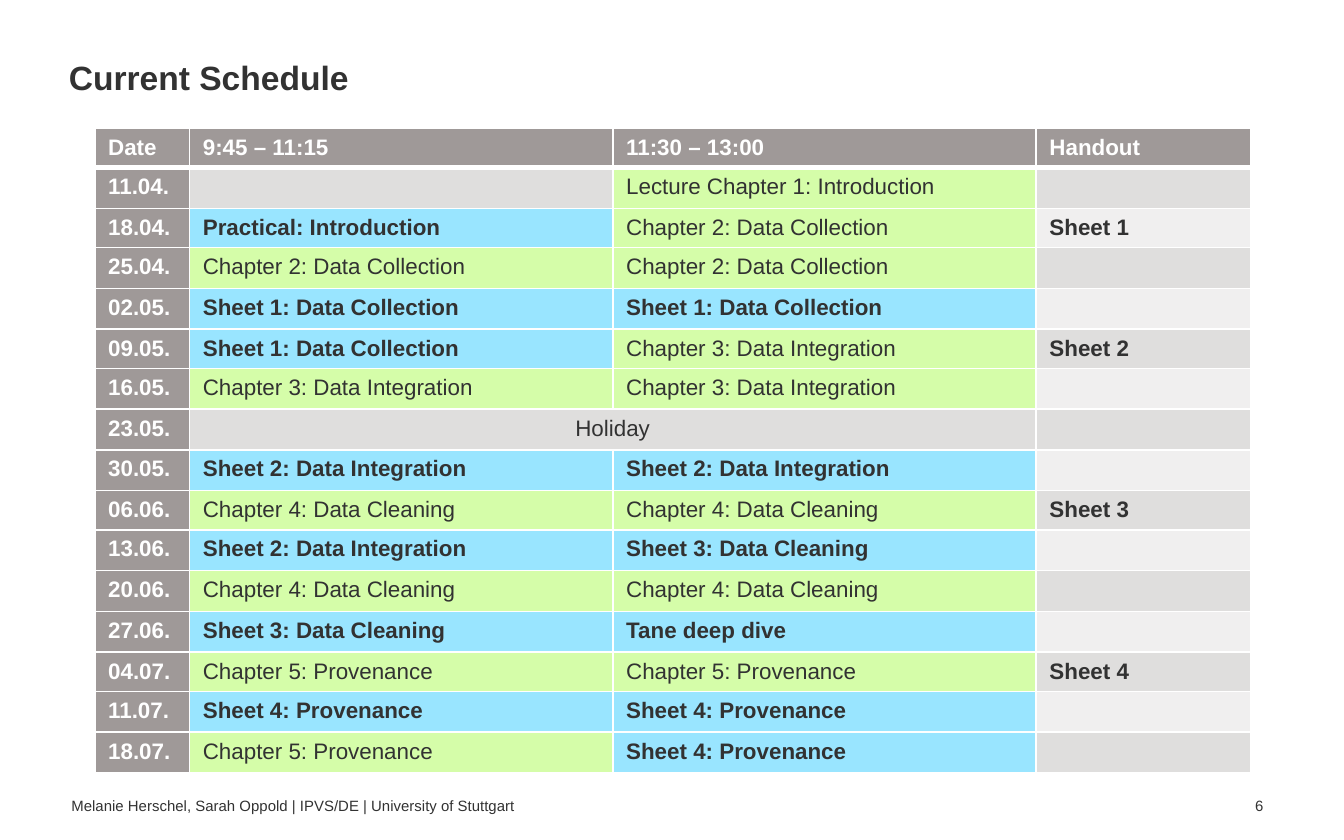
import pptx
import pptx.dml.color
import pptx.enum.text
import pptx.oxml
import pptx.oxml.ns
import pptx.util
from pptx.util import Cm

RGBColor = pptx.dml.color.RGBColor
Align = pptx.enum.text.PP_ALIGN

DARK = RGBColor(0x32, 0x32, 0x32)
WHITE = RGBColor(0xFF, 0xFF, 0xFF)
HEADER = RGBColor(0x9F, 0x99, 0x98)
BANDS = (RGBColor(0xF0, 0xEF, 0xEF), RGBColor(0xDF, 0xDE, 0xDD))
LECTURE = RGBColor(0xD5, 0xFD, 0xA9)
EXERCISE = RGBColor(0x99, 0xE5, 0xFF)

HOLIDAY = "Holiday"
COLUMN_WIDTHS = (Cm(1.79), Cm(8), Cm(8), Cm(4.05))
ROW_HEIGHT = Cm(0.74)
SCHEDULE = (
    ("Date", "9:45 – 11:15", "11:30 – 13:00", "Handout"),
    ("11.04.", "", "Lecture Chapter 1: Introduction", ""),
    ("18.04.", "Practical: Introduction", "Chapter 2: Data Collection", "Sheet 1"),
    ("25.04.", "Chapter 2: Data Collection", "Chapter 2: Data Collection", ""),
    ("02.05.", "Sheet 1: Data Collection", "Sheet 1: Data Collection", ""),
    ("09.05.", "Sheet 1: Data Collection", "Chapter 3: Data Integration", "Sheet 2"),
    ("16.05.", "Chapter 3: Data Integration", "Chapter 3: Data Integration", ""),
    ("23.05.", HOLIDAY, "", ""),
    ("30.05.", "Sheet 2: Data Integration", "Sheet 2: Data Integration", ""),
    ("06.06.", "Chapter 4: Data Cleaning", "Chapter 4: Data Cleaning", "Sheet 3"),
    ("13.06.", "Sheet 2: Data Integration", "Sheet 3: Data Cleaning", ""),
    ("20.06.", "Chapter 4: Data Cleaning", "Chapter 4: Data Cleaning", ""),
    ("27.06.", "Sheet 3: Data Cleaning", "Tane deep dive", ""),
    ("04.07.", "Chapter 5: Provenance", "Chapter 5: Provenance", "Sheet 4"),
    ("11.07.", "Sheet 4: Provenance", "Sheet 4: Provenance", ""),
    ("18.07.", "Chapter 5: Provenance", "Sheet 4: Provenance", ""),
)


def write_text(text_frame, text, size=12, color=DARK, bold=False, align=Align.LEFT, spacing=1.0):
    """Write one formatted paragraph, keeping the text size even when it is empty."""
    paragraph = text_frame.paragraphs[0]
    paragraph.alignment = align
    paragraph.line_spacing = spacing
    if not text:
        end_format = pptx.oxml.parse_xml(
            f'<a:endParaRPr {pptx.oxml.ns.nsdecls("a")} sz="{size * 100}"/>')
        paragraph._p.append(end_format)
        return
    run = paragraph.add_run()
    run.text = text
    run.font.name = "Arial"
    run.font.size = pptx.util.Pt(size)
    run.font.bold = bold
    run.font.color.rgb = color


def clear_margins(text_frame):
    """Remove the inner margins of a text frame."""
    text_frame.margin_left = text_frame.margin_right = 0
    text_frame.margin_top = text_frame.margin_bottom = 0


def place_title(slide, text):
    """Move the title placeholder into position and fill it."""
    title = slide.shapes.title
    title.left, title.top, title.width, title.height = Cm(1.3), Cm(1.09), Cm(22.8), Cm(0.76)
    clear_margins(title.text_frame)
    title.text_frame.vertical_anchor = pptx.enum.text.MSO_ANCHOR.BOTTOM
    write_text(title.text_frame, text, size=18, bold=True, spacing=0.9)


def add_footer_text(slide, text, left, width):
    """Add a small text on the footer line."""
    box = slide.shapes.add_textbox(left, Cm(15.06), width, Cm(0.35))
    clear_margins(box.text_frame)
    box.text_frame.word_wrap = True
    box.text_frame.auto_size = pptx.enum.text.MSO_AUTO_SIZE.SHAPE_TO_FIT_TEXT
    write_text(box.text_frame, text, size=8)


def set_borders(cell, top, bottom):
    """Give a cell white borders, with top and bottom widths in points."""
    properties = cell._tc.get_or_add_tcPr()
    for side, width in (("L", 1), ("R", 1), ("T", top), ("B", bottom)):
        properties.append(pptx.oxml.parse_xml(
            f'<a:ln{side} {pptx.oxml.ns.nsdecls("a")} w="{pptx.util.Pt(width)}">'
            f'<a:solidFill><a:srgbClr val="{WHITE}"/></a:solidFill></a:ln{side}>'))


def cell_fill(row, column, text):
    """Choose the fill of a cell from its place and its content."""
    if row == 0 or column == 0:
        return HEADER
    if column == 3 or text in ("", HOLIDAY):
        return BANDS[row % 2]
    return LECTURE if "Chapter" in text else EXERCISE


def add_schedule(slide):
    """Add the schedule table, merging the lesson columns on the holiday."""
    frame = slide.shapes.add_table(
        len(SCHEDULE), len(COLUMN_WIDTHS), Cm(1.79), Cm(2.43),
        sum(COLUMN_WIDTHS), ROW_HEIGHT * len(SCHEDULE))
    table = frame.table
    for column, width in zip(table.columns, COLUMN_WIDTHS):
        column.width = width
    for row, texts in enumerate(SCHEDULE):
        table.rows[row].height = ROW_HEIGHT
        for column, text in enumerate(texts):
            cell = table.cell(row, column)
            fill = cell_fill(row, column, text)
            set_borders(cell, top=3 if row == 1 else 1, bottom=3 if row == 0 else 1)
            cell.fill.solid()
            cell.fill.fore_color.rgb = fill
            write_text(
                cell.text_frame, text,
                color=WHITE if fill == HEADER else DARK,
                bold=fill != LECTURE and text != HOLIDAY,
                align=Align.CENTER if text == HOLIDAY else Align.LEFT)
        if HOLIDAY in texts:
            table.cell(row, 1).merge(table.cell(row, 2))


def main():
    """Build the schedule slide and save it."""
    presentation = pptx.Presentation()
    presentation.slide_width, presentation.slide_height = Cm(25.4), Cm(15.88)
    slide = presentation.slides.add_slide(presentation.slide_layouts.get_by_name("Title Only"))
    place_title(slide, "Current Schedule")
    add_schedule(slide)
    add_footer_text(
        slide, "Melanie Herschel, Sarah Oppold | IPVS/DE | University of Stuttgart",
        left=Cm(1.35), width=Cm(16.8))
    add_footer_text(slide, "6", left=Cm(23.72), width=Cm(0.6))
    presentation.save("out.pptx")


if __name__ == "__main__":
    main()
